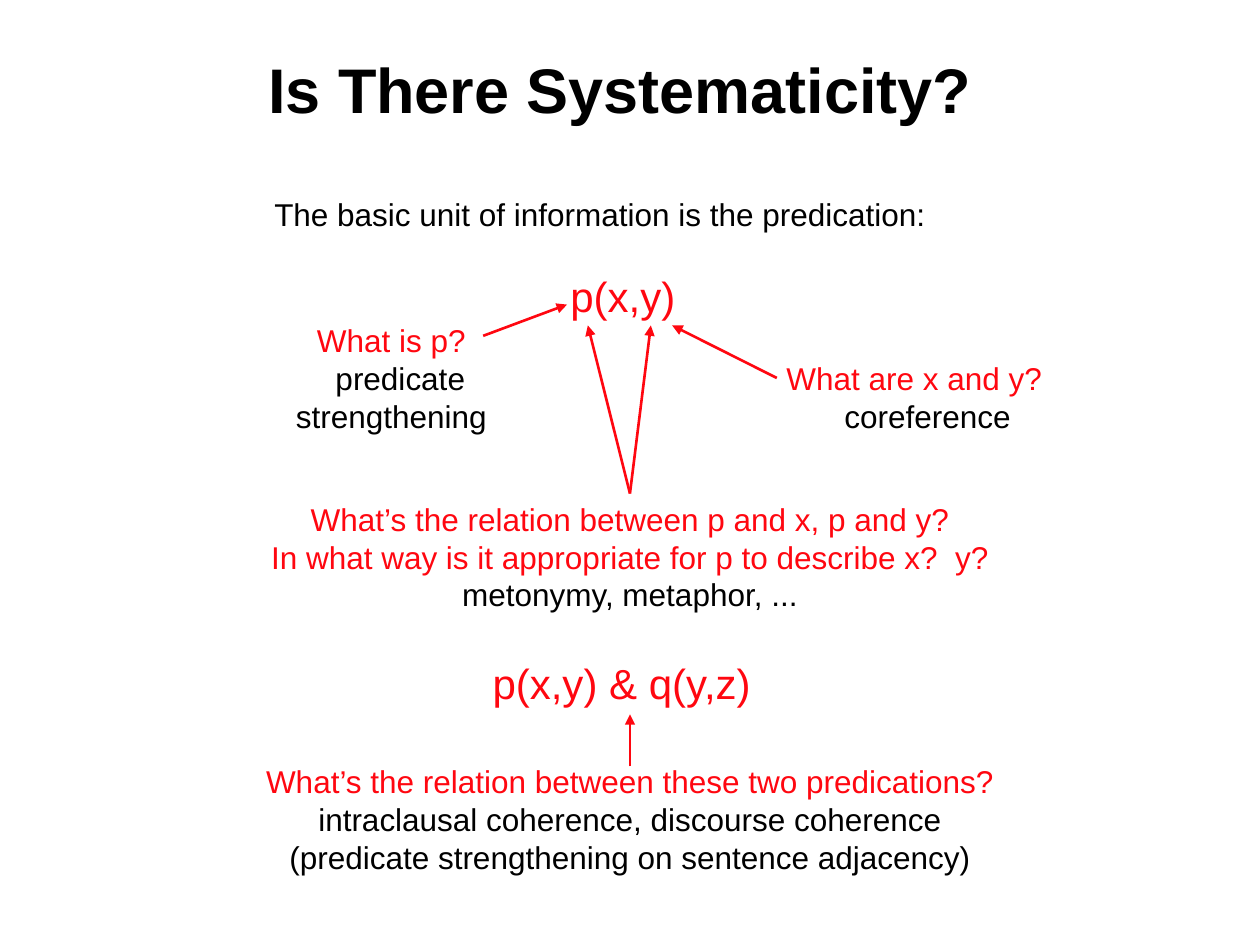
import pptx
import pptx.dml.color
import pptx.enum.shapes
import pptx.enum.text
import pptx.oxml
import pptx.oxml.ns
import pptx.util
from dataclasses import dataclass

Cm = pptx.util.Cm
Align = pptx.enum.text.PP_ALIGN
Anchor = pptx.enum.text.MSO_ANCHOR
TOP, BOTTOM = 0, 2


@dataclass(frozen=True)
class Theme:
    font: str = "Arial"
    ink: str = "000000"
    accent: str = "FF0710"
    title_size: int = 36
    formula_size: int = 24
    body_size: int = 18
    line_width: float = 1.5


class SlideWriter:
    def __init__(self, slide, theme):
        self.slide = slide
        self.theme = theme

    def text(self, box, lines, size, align=Align.CENTER, anchor=Anchor.TOP, bold=False):
        """Add a text box; each line is (wording, colour) or (wording, colour, indent in cm)."""
        shape = self.slide.shapes.add_textbox(*map(Cm, box))
        frame = shape.text_frame
        frame_format = {"word_wrap": True, "vertical_anchor": anchor}
        for name, value in frame_format.items():
            setattr(frame, name, value)
        font_format = {"name": self.theme.font, "size": pptx.util.Pt(size), "bold": bold}
        for index, (wording, colour, *indent) in enumerate(lines):
            paragraph = frame.add_paragraph() if index else frame.paragraphs[0]
            paragraph.alignment = align
            if indent:
                paragraph._p.get_or_add_pPr().set("marL", str(Cm(indent[0])))
            run = paragraph.add_run()
            run.text = wording
            for name, value in font_format.items():
                setattr(run.font, name, value)
            run.font.color.rgb = pptx.dml.color.RGBColor.from_string(colour)
        return shape

    def title(self, box, wording):
        return self.text(box, [(wording, self.theme.ink)], self.theme.title_size,
                         anchor=Anchor.MIDDLE, bold=True)

    def formula(self, box, wording):
        return self.text(box, [(wording, self.theme.accent)], self.theme.formula_size,
                         align=Align.LEFT)

    def notes(self, box, questions, answers):
        """Add accent-coloured questions followed by their answers."""
        lines = [(question, self.theme.accent) for question in questions]
        lines += [(wording, self.theme.ink, *indent) for wording, *indent in answers]
        return self.text(box, lines, self.theme.body_size)

    def arrow(self, start, end, start_shape=None, end_shape=None):
        """Add an arrow, joined to the top of start_shape and the bottom of end_shape if given."""
        connector = self.slide.shapes.add_connector(
            pptx.enum.shapes.MSO_CONNECTOR.STRAIGHT, *map(Cm, start + end))
        if start_shape is not None:
            connector.begin_connect(start_shape, TOP)
        if end_shape is not None:
            connector.end_connect(end_shape, BOTTOM)
        connector.line.color.rgb = pptx.dml.color.RGBColor.from_string(self.theme.accent)
        connector.line.width = pptx.util.Pt(self.theme.line_width)
        line = connector.line._get_or_add_ln()
        head = pptx.oxml.parse_xml(
            f'<a:tailEnd {pptx.oxml.ns.nsdecls("a")} type="triangle"/>')
        line.append(head)
        effects = pptx.oxml.parse_xml(f'<a:effectLst {pptx.oxml.ns.nsdecls("a")}/>')
        line.addnext(effects)
        return connector


def main():
    presentation = pptx.Presentation()
    presentation.slide_width, presentation.slide_height = Cm(25.4), Cm(19.05)
    theme = Theme()
    writer = SlideWriter(presentation.slides.add_slide(presentation.slide_layouts[6]), theme)

    writer.title((1.7, 0.2, 21.6, 3.18), "Is There Systematicity?")
    writer.text((5.28, 3.81, 13.9, 1.02),
                [("The basic unit of information is the predication:", theme.ink)],
                theme.body_size, align=Align.LEFT)
    writer.formula((11.25, 5.33, 2.8, 1.27), "p(x,y)")
    writer.notes((5.59, 6.35, 4.6, 2.54), ["What is p?"],
                 [("predicate", 0.36), ("strengthening",)])
    writer.notes((15.48, 7.11, 5.9, 1.78), ["What are x and y?"], [("coreference", 0.54)])
    relation = writer.notes(
        (5.1, 9.95, 15.2, 2.54),
        ["What’s the relation between p and x, p and y?",
         "In what way is it appropriate for p to describe x?  y?"],
        [("metonymy, metaphor, ...",)])
    conjunction = writer.formula((9.68, 13.13, 6.04, 1.27), "p(x,y) & q(y,z)")
    writer.notes((5, 15.24, 15.4, 2.54),
                 ["What’s the relation between these two predications?"],
                 [("intraclausal coherence, discourse coherence",),
                  ("(predicate strengthening on sentence adjacency)",)])

    writer.arrow((9.74, 6.77), (11.43, 6.14))
    writer.arrow((15.66, 7.62), (13.55, 6.56))
    for argument_x in (11.85, 13.12):
        writer.arrow((12.7, 9.95), (argument_x, 6.56), start_shape=relation)
    writer.arrow((12.7, 15.45), (12.7, 14.4), end_shape=conjunction)

    presentation.save("out.pptx")


if __name__ == "__main__":
    main()
